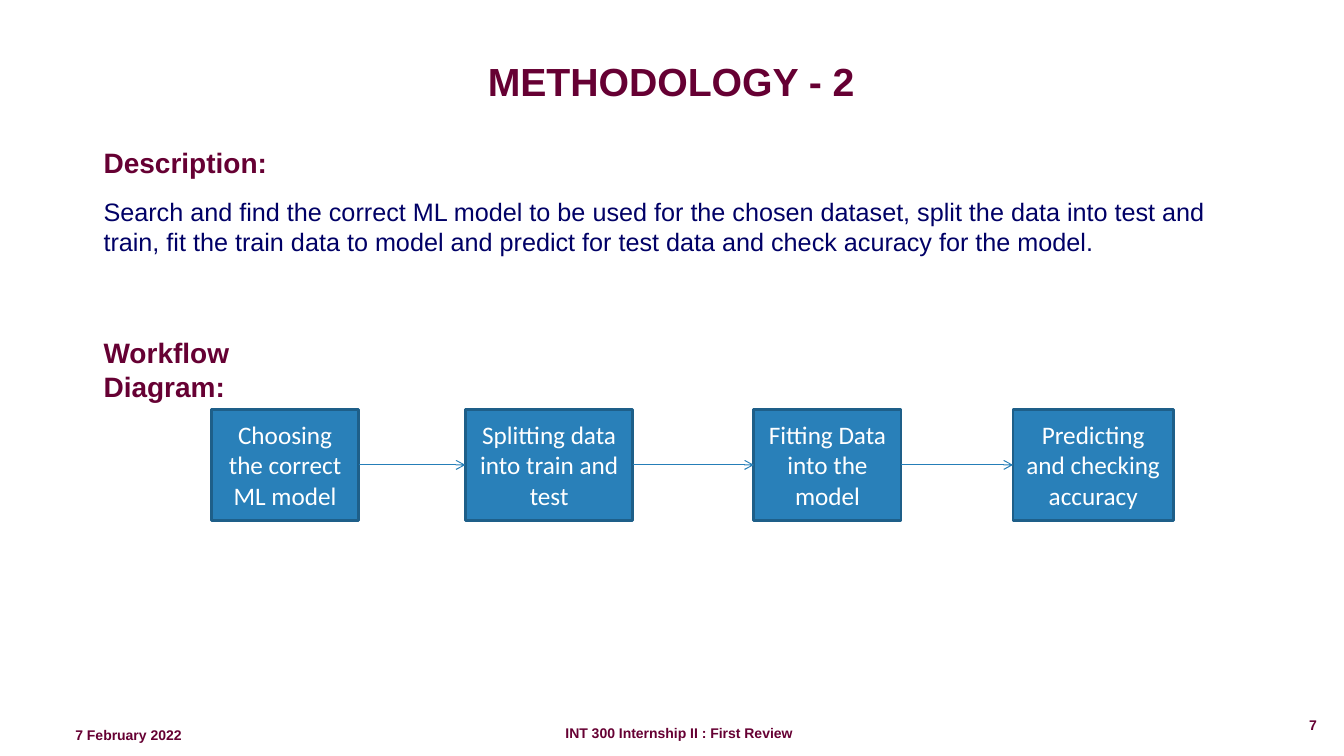
from dataclasses import dataclass
from itertools import pairwise

from lxml.etree import SubElement
from pptx import Presentation
from pptx.dml.color import RGBColor
from pptx.enum.shapes import MSO_CONNECTOR, MSO_SHAPE
from pptx.enum.text import MSO_ANCHOR, PP_ALIGN
from pptx.oxml.ns import qn
from pptx.util import Cm, Pt


@dataclass(frozen=True)
class Theme:
    text_font: str = "Arial"
    step_font: str = "Calibri"
    maroon: str = "660033"
    navy: str = "000066"
    white: str = "FFFFFF"
    step_fill: str = "2980B9"
    step_border: str = "1E5F89"
    arrow: str = "257EB8"
    title_size: int = 28
    heading_size: int = 20
    body_size: int = 18
    footer_size: int = 10
    border_width: float = 2
    arrow_width: float = 0.75


@dataclass(frozen=True)
class Box:
    """A region of the page, in centimetres."""
    left: float
    top: float
    width: float
    height: float

    def lengths(self):
        return Cm(self.left), Cm(self.top), Cm(self.width), Cm(self.height)


THEME = Theme()
PAGE_WIDTH, PAGE_HEIGHT = 33.87, 19.05


def add_span(para, text, size, color, font=THEME.text_font, bold=False):
    span = para.add_run()
    span.text = text
    span.font.name = font
    span.font.size = Pt(size)
    span.font.bold = bold
    span.font.color.rgb = RGBColor.from_string(color)


def add_label(page, box, text, size, wrap=True, align=PP_ALIGN.LEFT):
    """Add a bold maroon line of text and return its text frame."""
    frame = page.shapes.add_textbox(*box.lengths()).text_frame
    frame.word_wrap = wrap
    para = frame.paragraphs[0]
    para.alignment = align
    add_span(para, text, size, THEME.maroon, bold=True)
    return frame


def add_title(page, box):
    add_label(page, box, "METHODOLOGY - 2", THEME.title_size,
              wrap=False, align=PP_ALIGN.CENTER)


def add_description(page, box):
    frame = add_label(page, box, "Description:", THEME.heading_size)
    para = frame.add_paragraph()
    para.space_before = Pt(12.4)
    add_span(para, "Search and find the correct ML model to be used for the chosen "
             "dataset, split the data into test and train, fit the train data to "
             "model and predict for test data and check acuracy for the model.",
             THEME.body_size, THEME.navy)


def add_step(page, box, text):
    step = page.shapes.add_shape(MSO_SHAPE.RECTANGLE, *box.lengths())
    step.shadow.inherit = False
    step.fill.solid()
    step.fill.fore_color.rgb = RGBColor.from_string(THEME.step_fill)
    step.line.color.rgb = RGBColor.from_string(THEME.step_border)
    step.line.width = Pt(THEME.border_width)
    frame = step.text_frame
    frame.word_wrap = True
    frame.vertical_anchor = MSO_ANCHOR.MIDDLE
    para = frame.paragraphs[0]
    para.alignment = PP_ALIGN.CENTER
    add_span(para, text, THEME.body_size, THEME.white, font=THEME.step_font)
    return step


def add_arrow(page, source, target):
    """Join the right side of one step to the left side of the next."""
    arrow = page.shapes.add_connector(MSO_CONNECTOR.STRAIGHT, 0, 0, 0, 0)
    arrow.begin_connect(source, 3)
    arrow.end_connect(target, 1)
    arrow.line.color.rgb = RGBColor.from_string(THEME.arrow)
    arrow.line.width = Pt(THEME.arrow_width)
    SubElement(arrow.line._get_or_add_ln(), qn("a:tailEnd"), type="arrow")
    SubElement(arrow._element.spPr, qn("a:effectLst"))


def add_workflow(page, box):
    add_label(page, Box(box.left, box.top, 6.9, 1.12),
              "Workflow Diagram:", THEME.heading_size)
    step_height = 2.79
    step_top = box.top + box.height - step_height
    steps = [
        add_step(page, Box(box.left + offset, step_top, width, step_height), text)
        for offset, width, text in (
            (2.97, 3.71, "Choosing the correct ML model"),
            (9.37, 4.22, "Splitting data into train and test"),
            (16.64, 3.71, "Fitting Data into the model"),
            (23.17, 4.04, "Predicting and checking accuracy"),
        )
    ]
    for source, target in pairwise(steps):
        add_arrow(page, source, target)


def add_footer(page, box):
    for offset, drop, width, height, text, wrap in (
        (1.65, 0.26, 3.96, 0.61, "7 February 2022", True),
        (14, 0.21, 6.3, 0.69, "INT 300 Internship II : First Review", False),
        (32.74, 0, 1.12, 1.09, "7", True),
    ):
        add_label(page, Box(box.left + offset, box.top + drop, width, height),
                  text, THEME.footer_size, wrap=wrap)


def main():
    deck = Presentation()
    deck.slide_width, deck.slide_height = Cm(PAGE_WIDTH), Cm(PAGE_HEIGHT)
    page = deck.slides.add_slide(deck.slide_layouts[6])
    add_title(page, Box(12.04, 1.32, 9.75, 1.45))
    add_description(page, Box(2.36, 3.53, 29.13, 3.1))
    add_workflow(page, Box(2.36, 8.33, 27.21, 4.78))
    add_footer(page, Box(0, 17.93, PAGE_WIDTH, 1.09))
    deck.save("out.pptx")


if __name__ == "__main__":
    main()
